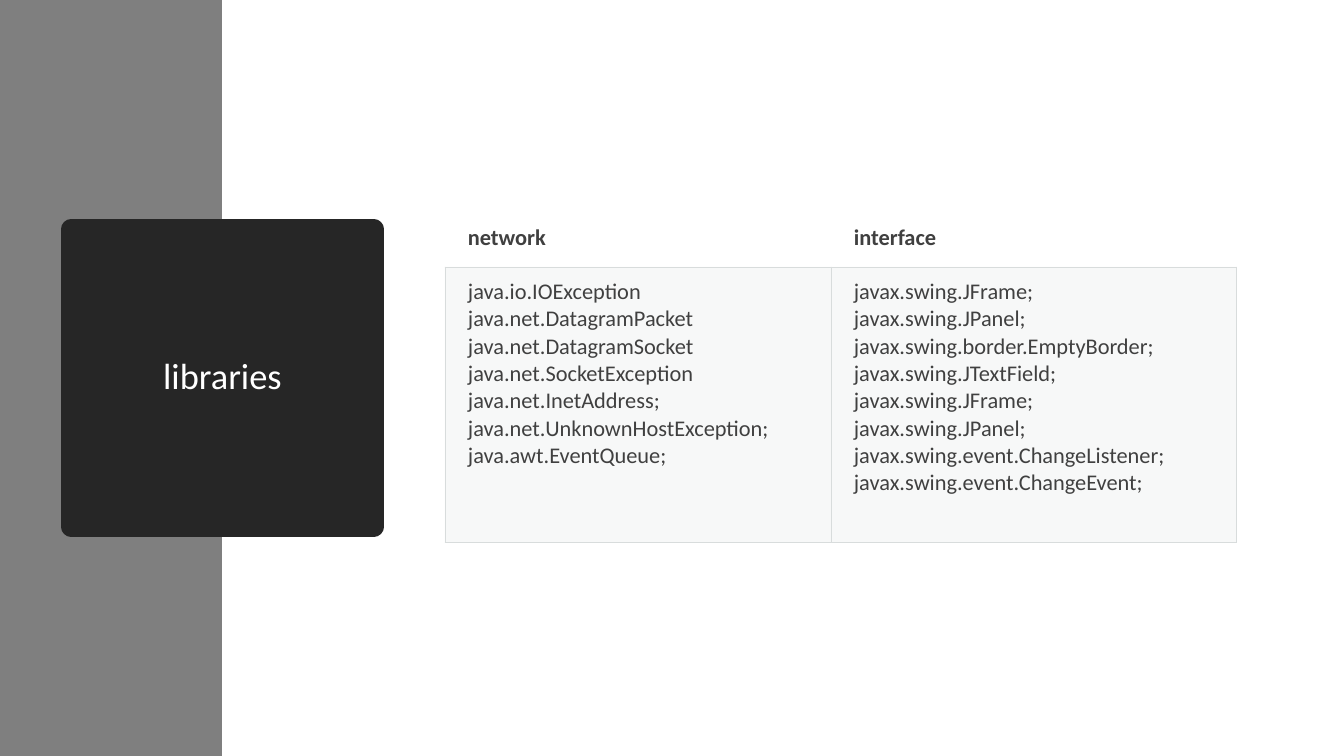
from lxml.etree import SubElement
from pptx import Presentation
from pptx.dml.color import RGBColor as RGB
from pptx.enum.shapes import MSO_SHAPE as SHAPE
from pptx.enum.text import MSO_ANCHOR as ANCHOR, PP_ALIGN as ALIGN
from pptx.oxml.ns import qn
from pptx.util import Emu, Pt

THEME = {
    "font": "Calibri",
    "band": RGB.from_string("7F7F7F"),
    "card": RGB.from_string("262626"),
    "title": RGB.from_string("FFFFFF"),
    "text": RGB.from_string("404040"),
    "cell": RGB.from_string("D8DEDC"),
    "border": RGB.from_string("D8DCDC"),
    "title_size": 26,
    "text_size": 16,
    "card_line": 13.75,
    "border_line": 0.75,
}
LIBRARIES = {
    "network": [
        "java.io.IOException",
        "java.net.DatagramPacket",
        "java.net.DatagramSocket",
        "java.net.SocketException",
        "java.net.InetAddress;",
        "java.net.UnknownHostException;",
        "java.awt.EventQueue;",
    ],
    "interface": [
        "javax.swing.JFrame;",
        "javax.swing.JPanel;",
        "javax.swing.border.EmptyBorder;",
        "javax.swing.JTextField;",
        "javax.swing.JFrame;",
        "javax.swing.JPanel;",
        "javax.swing.event.ChangeListener;",
        "javax.swing.event.ChangeEvent;",
    ],
}
COL_WIDTHS = [386, 406]
ROW_HEIGHTS = [54, 276]


def px(n):
    return Emu(round(n * 914400 / 100.8))


def write(tf, lines, size=THEME["text_size"], color=THEME["text"], bold=False,
          align=ALIGN.LEFT, spacing=None):
    """Fill a text frame with one paragraph per line."""
    for i, line in enumerate(lines):
        p = tf.add_paragraph() if i else tf.paragraphs[0]
        p.alignment = align
        p.line_spacing = spacing
        r = p.add_run()
        r.text = line
        r.font.name = THEME["font"]
        r.font.size = Pt(size)
        r.font.bold = bold
        r.font.color.rgb = color


prs = Presentation()
prs.slide_width, prs.slide_height = px(1344), px(756)
s = prs.slides.add_slide(prs.slide_layouts[6])

# Side band
band = s.shapes.add_shape(SHAPE.RECTANGLE, 0, 0, px(222), px(756))
band.shadow.inherit = False
band.fill.solid()
band.fill.fore_color.rgb = THEME["band"]
band.line.fill.background()

# Title card: its thick line with round joins softens the corners
card = s.shapes.add_shape(SHAPE.RECTANGLE, px(71), px(229), px(303), px(298))
card.shadow.inherit = False
card.fill.solid()
card.fill.fore_color.rgb = THEME["card"]
card.line.color.rgb = THEME["card"]
card.line.width = Pt(THEME["card_line"])
SubElement(card.line.fill._xPr, qn("a:round"))
card.text_frame.word_wrap = True
card.text_frame.vertical_anchor = ANCHOR.MIDDLE
write(card.text_frame, ["libraries"], size=THEME["title_size"],
      color=THEME["title"], align=ALIGN.CENTER, spacing=0.9)

# Library table
table = s.shapes.add_table(len(ROW_HEIGHTS), len(COL_WIDTHS), px(445), px(213),
                           px(sum(COL_WIDTHS)), px(sum(ROW_HEIGHTS))).table
table.first_row = table.horz_banding = False
for row, height in zip(table.rows, ROW_HEIGHTS):
    row.height = px(height)

for col, (heading, names) in enumerate(LIBRARIES.items()):
    table.columns[col].width = px(COL_WIDTHS[col])
    for row, lines in enumerate([[heading], names]):
        is_header = row == 0
        cell = table.cell(row, col)
        cell.margin_left = px(23)
        cell.margin_right = cell.margin_top = cell.margin_bottom = px(11)
        write(cell.text_frame, lines, bold=is_header)

        tc_pr = cell._tc.get_or_add_tcPr()
        for side in "LRTB":
            ln = SubElement(tc_pr, qn(f"a:ln{side}"), w=str(Pt(THEME["border_line"])))
            if is_header and side != "B":
                SubElement(ln, qn("a:noFill"))
            else:
                fill = SubElement(ln, qn("a:solidFill"))
                SubElement(fill, qn("a:srgbClr"), val=str(THEME["border"]))

        if is_header:
            cell.fill.background()
        else:
            cell.fill.solid()
            cell.fill.fore_color.rgb = THEME["cell"]
            clr = tc_pr.find(qn("a:solidFill")).find(qn("a:srgbClr"))
            SubElement(clr, qn("a:alpha"), val="20000")

prs.save("out.pptx")
